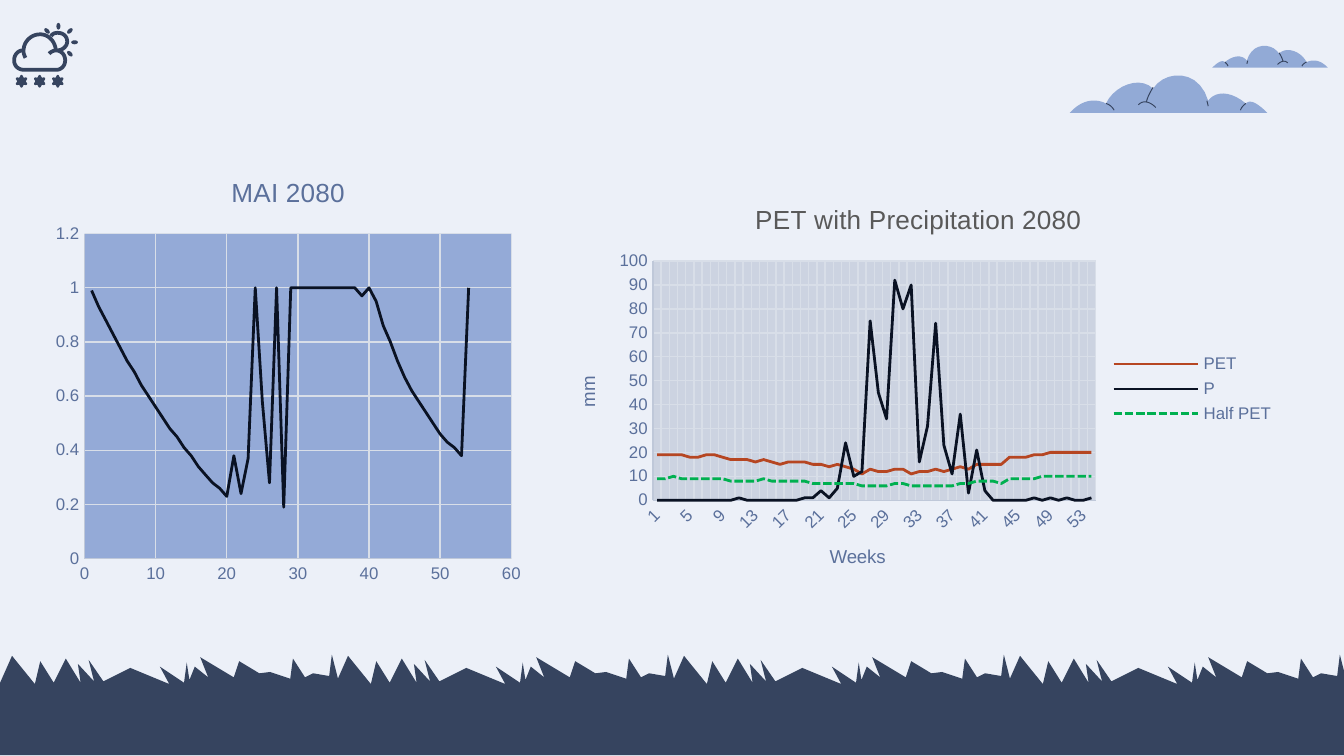
import math

import pptx
import pptx.chart.data
import pptx.dml.color
import pptx.enum.chart
import pptx.enum.dml
import pptx.enum.shapes
import pptx.oxml
import pptx.oxml.ns
import pptx.util

Inches, Pt, qn = pptx.util.Inches, pptx.util.Pt, pptx.oxml.ns.qn
SHAPES, CHARTS = pptx.enum.shapes.MSO_SHAPE, pptx.enum.chart.XL_CHART_TYPE
COLORS = {
    "sky": "ECF0F8", "navy": "36445F", "cloud": "92AAD6", "label": "5B709B",
    "title": "595959", "axis": "BFC8D9", "grid": "D8DEE8", "mai_plot": "94AAD7",
    "pet_plot": "CCD3E1", "black": "0A1223", "rust": "B64622", "green": "00B050",
}
GRASS_BLADES = [
    (2.55, .2), (2.5, 0), (2.48, .16), (2.36, .14), (2.3, .17), (2.21, .03), (2.19, .18), (2.04, .13),
    (1.96, .14), (1.81, .05), (1.77, .17), (1.52, .02), (1.58, .17), (1.48, .09), (1.44, .19),
    (1.42, .06), (1.4, .21), (1.22, .09), (1.29, .22), (1, .1), (.8, .2), (.69, .04), (.73, .2),
    (.61, .07), (.63, .21), (.52, .03), (.43, .21), (.33, .05), (.29, .22), (.12, .01), (0, .28),
    (2.56, .28),
]
# In an outline, two numbers are a point and six are a Bezier curve.
CLOUD_WIDTH = 1.47
CLOUD_OUTLINE = [
    (0, .28), (1.47, .28), (1.39, .2, 1.34, .18, 1.31, .21), (1.19, .11, 1.08, .12, 1.03, .19),
    (.96, -.05, .71, -.04, .62, .1), (.52, 0, .33, .08, .27, .21), (.19, .17, .09, .18, 0, .28),
]
CLOUD_CREASES = [
    [(.27, .21), (.27, .21, .31, .22, .33, .26)], [(.62, .09), (.62, .09, .58, .15, .57, .2)],
    [(1.02, .19), (1.03, .23)], [(.51, .22), (.55, .18, .6, .2, .64, .24)],
    [(1.27, .26), (1.28, .23, 1.31, .21, 1.31, .21)],
]
# Icon strokes are in hundredths of an inch.
ICON_STROKES = [
    [(7.5, 21.5), (4, 22, 1.5, 25, 1.5, 29), (1.5, 33, 4.5, 36, 9, 36), (33, 36),
     (36.5, 36, 39.5, 33, 39.5, 29), (39.5, 25, 37, 22, 33, 21.5), (31, 21.5, 29, 22.5, 27.5, 24)],
    [(10, 27), (9, 25, 8.5, 23.5, 8.5, 22), (8.5, 15, 14, 9.5, 21, 9.5), (26.5, 9.5, 31.5, 14, 32.5, 20.5)],
    [(29, 11), (30, 9, 32, 8.5, 34, 8.5), (38, 8.5, 41, 11, 41, 15), (41, 18.5, 37.5, 21.5, 34, 21.5)],
]
WEEKS = range(1, 55)
MAI = [
    .99, .93, .88, .83, .78, .73, .69, .64, .6, .56, .52, .48, .45, .41, .38, .34, .31, .28, .26, .23, .38,
    .24, .37, 1, .58, .28, 1, .19, 1, 1, 1, 1, 1, 1, 1, 1, 1, 1, .97, 1, .95, .86, .8, .73, .67, .62, .58,
    .54, .5, .46, .43, .41, .38, 1]
WATER_SERIES = {
    "PET": [19, 19, 19, 19, 18, 18, 19, 19, 18, 17, 17, 17, 16, 17, 16, 15, 16, 16, 16, 15, 15, 14, 15, 14,
            13, 11, 13, 12, 12, 13, 13, 11, 12, 12, 13, 12, 13, 14, 13, 15, 15, 15, 15, 18, 18, 18, 19, 19,
            20, 20, 20, 20, 20, 20],
    "P": [0, 0, 0, 0, 0, 0, 0, 0, 0, 0, 1, 0, 0, 0, 0, 0, 0, 0, 1, 1, 4, 1, 5, 24, 10, 12, 75, 45, 34, 92,
          80, 90, 16, 31, 74, 23, 11, 36, 3, 21, 4, 0, 0, 0, 0, 0, 1, 0, 1, 0, 1, 0, 0, 1],
    "Half PET": [9, 9, 10, 9, 9, 9, 9, 9, 9, 8, 8, 8, 8, 9, 8, 8, 8, 8, 8, 7, 7, 7, 7, 7, 7, 6, 6, 6, 6, 7,
                 7, 6, 6, 6, 6, 6, 6, 7, 7, 8, 8, 8, 7, 9, 9, 9, 9, 10, 10, 10, 10, 10, 10, 10],
}


def rgb(name):
    return pptx.dml.color.RGBColor.from_string(COLORS[name])


def paint(shape, color):
    shape.shadow.inherit = False
    shape.fill.solid()
    shape.fill.fore_color.rgb = rgb(color)
    shape.line.fill.background()


def flatten(outline, steps=10):
    """Turn the curves of an outline into short straight pieces."""
    points = [outline[0]]
    for segment in outline[1:]:
        if len(segment) == 2:
            points.append(segment)
            continue
        corners = (points[-1], segment[:2], segment[2:4], segment[4:])
        for t in (step / steps for step in range(1, steps + 1)):
            weights = ((1 - t) ** 3, 3 * t * (1 - t) ** 2, 3 * t * t * (1 - t), t ** 3)
            points.append(tuple(sum(w * c for w, c in zip(weights, axis)) for axis in zip(*corners)))
    return points


def draw_outline(slide, left, top, outline, color, scale=1, mirror_width=None, stroke=None):
    """Draw a filled outline, or an open line when a stroke width is given."""
    points = []
    for x, y in flatten(outline):
        x = x if mirror_width is None else mirror_width - x
        points.append((Inches(left + x * scale), Inches(top + y * scale)))
    builder = slide.shapes.build_freeform(*points[0])
    builder.add_line_segments(points[1:], close=stroke is None)
    shape = builder.convert_to_shape()
    paint(shape, color)
    if stroke:
        shape.fill.background()
        shape.line.color.rgb = rgb(color)
        shape.line.width = Pt(stroke)


def draw_ground(slide, left, top, width, height):
    box = map(Inches, (left, top + .25, width, height - .25))
    paint(slide.shapes.add_shape(SHAPES.RECTANGLE, *box), "navy")
    for tuft in range(4):
        draw_outline(slide, left - .03 + tuft * width / 4, top, GRASS_BLADES, "navy")


def draw_cloud(slide, left, top, width, mirror_width=None):
    scale = width / CLOUD_WIDTH
    draw_outline(slide, left, top, CLOUD_OUTLINE, "cloud", scale, mirror_width)
    for crease in CLOUD_CREASES:
        draw_outline(slide, left, top, crease, "navy", scale, mirror_width, stroke=.5)


def draw_weather_icon(slide, left, top):
    for stroke in ICON_STROKES:
        draw_outline(slide, left, top, stroke, "navy", .01, stroke=2)
    for degrees in range(-135, 46, 45):
        angle = math.radians(degrees)
        x, y = left + .34 + .12 * math.cos(angle), top + .15 + .12 * math.sin(angle)
        ray = slide.shapes.add_shape(SHAPES.OVAL, *map(Inches, (x - .02, y - .01, .05, .03)))
        ray.rotation = degrees
        paint(ray, "navy")
    flake = []
    for angle in map(math.radians, range(0, 360, 10)):
        radius = 4 + .8 * math.cos(6 * angle)
        flake.append((radius * math.sin(angle), radius * math.cos(angle)))
    for column in range(3):
        draw_outline(slide, left + .07 + column * .135, top + .445, flake, "navy", .01)


def style_font(font, size, color):
    for name, value in {"name": "Arial", "size": Pt(size), "bold": False}.items():
        setattr(font, name, value)
    font.color.rgb = rgb(color)


def set_title(owner, title, text, size, color):
    owner.has_title = True
    title.text_frame.text = text
    style_font(title.text_frame.paragraphs[0].runs[0].font, size, color)


def style_axis(axis, maximum=None, step=None):
    axis.has_major_gridlines = True
    axis.major_tick_mark = axis.minor_tick_mark = pptx.enum.chart.XL_TICK_MARK.NONE
    style_font(axis.tick_labels.font, 9, "label")
    for line, color in ((axis.format.line, "axis"), (axis.major_gridlines.format.line, "grid")):
        line.color.rgb = rgb(color)
        line.width = Pt(.75)
    if maximum:
        axis.minimum_scale, axis.maximum_scale, axis.major_unit = 0, maximum, step


def style_plot_area(chart, color, layout):
    """Fill the plot area and fix its inner box as fractions of the chart."""
    namespaces = pptx.oxml.ns.nsdecls("c", "a")
    area = chart._chartSpace.chart.plotArea
    for old in area.findall(qn("c:layout")):
        area.remove(old)
    sizes = "".join(f'<c:{tag} val="{value}"/>' for tag, value in zip("xywh", layout))
    area.insert(0, pptx.oxml.parse_xml(
        f'<c:layout {namespaces}><c:manualLayout><c:layoutTarget val="inner"/>'
        f'<c:xMode val="edge"/><c:yMode val="edge"/>{sizes}</c:manualLayout></c:layout>'))
    area.append(pptx.oxml.parse_xml(
        f'<c:spPr {namespaces}><a:solidFill><a:srgbClr val="{COLORS[color]}"/></a:solidFill></c:spPr>'))


def add_line_chart(slide, box, kind, data, colors, title, title_color):
    chart = slide.shapes.add_chart(kind, *map(Inches, box), data).chart
    style_font(chart.font, 10, "label")
    set_title(chart, chart.chart_title, title, 14, title_color)
    chart.has_legend = chart.plots[0].vary_by_categories = False
    for series, color in zip(chart.plots[0].series, colors):
        series.smooth = False
        series.format.line.color.rgb = rgb(color)
        series.format.line.width = Pt(1.5)
    return chart


def add_mai_chart(slide, *box):
    data = pptx.chart.data.XyChartData()
    series = data.add_series("MAI 2080")
    for week, value in zip(WEEKS, MAI):
        series.add_data_point(week, value)
    kind = CHARTS.XY_SCATTER_LINES_NO_MARKERS
    chart = add_line_chart(slide, box, kind, data, ["black"], "MAI 2080", "label")
    style_axis(chart.category_axis, 60, 10)
    style_axis(chart.value_axis, 1.2, .2)
    style_plot_area(chart, "mai_plot", (.08, .18, .88, .74))


def add_precipitation_chart(slide, *box):
    data = pptx.chart.data.CategoryChartData()
    data.categories = [str(week) for week in WEEKS]
    for name, values in WATER_SERIES.items():
        data.add_series(name, values)
    chart = add_line_chart(slide, box, CHARTS.LINE, data, ["rust", "black", "green"],
                           "PET with Precipitation 2080", "title")
    chart.plots[0].series[2].format.line.dash_style = pptx.enum.dml.MSO_LINE.SQUARE_DOT
    weeks_axis = chart.category_axis
    style_axis(weeks_axis)
    style_axis(chart.value_axis, 100, 10)
    for axis, text in ((weeks_axis, "Weeks"), (chart.value_axis, "mm")):
        set_title(axis, axis.axis_title, text, 10, "label")
    weeks_axis._element.find(qn("c:noMultiLvlLbl")).addprevious(
        pptx.oxml.parse_xml(f'<c:tickLblSkip {pptx.oxml.ns.nsdecls("c")} val="4"/>'))
    weeks_axis._element.find(qn("c:txPr")).find(qn("a:bodyPr")).set("rot", "-2700000")
    chart.has_legend = True
    chart.legend.include_in_layout = False
    style_font(chart.legend.font, 9, "label")
    style_plot_area(chart, "pet_plot", (.14, .19, .6, .58))


presentation = pptx.Presentation()
presentation.slide_width, presentation.slide_height = Inches(10), Inches(10 * 9 / 16)
slide = presentation.slides.add_slide(presentation.slide_layouts[6])
slide.background.fill.solid()
slide.background.fill.fore_color.rgb = rgb("sky")
draw_ground(slide, 0, 4.87, 10, .75)
draw_cloud(slide, 7.96, .56, CLOUD_WIDTH)
draw_cloud(slide, 9.02, .34, .86, mirror_width=CLOUD_WIDTH)
add_mai_chart(slide, .34, 1.15, 3.61, 3.27)
add_precipitation_chart(slide, 4.09, 1.36, 5.49, 3.07)
draw_weather_icon(slide, .09, .16)
presentation.save("out.pptx")
